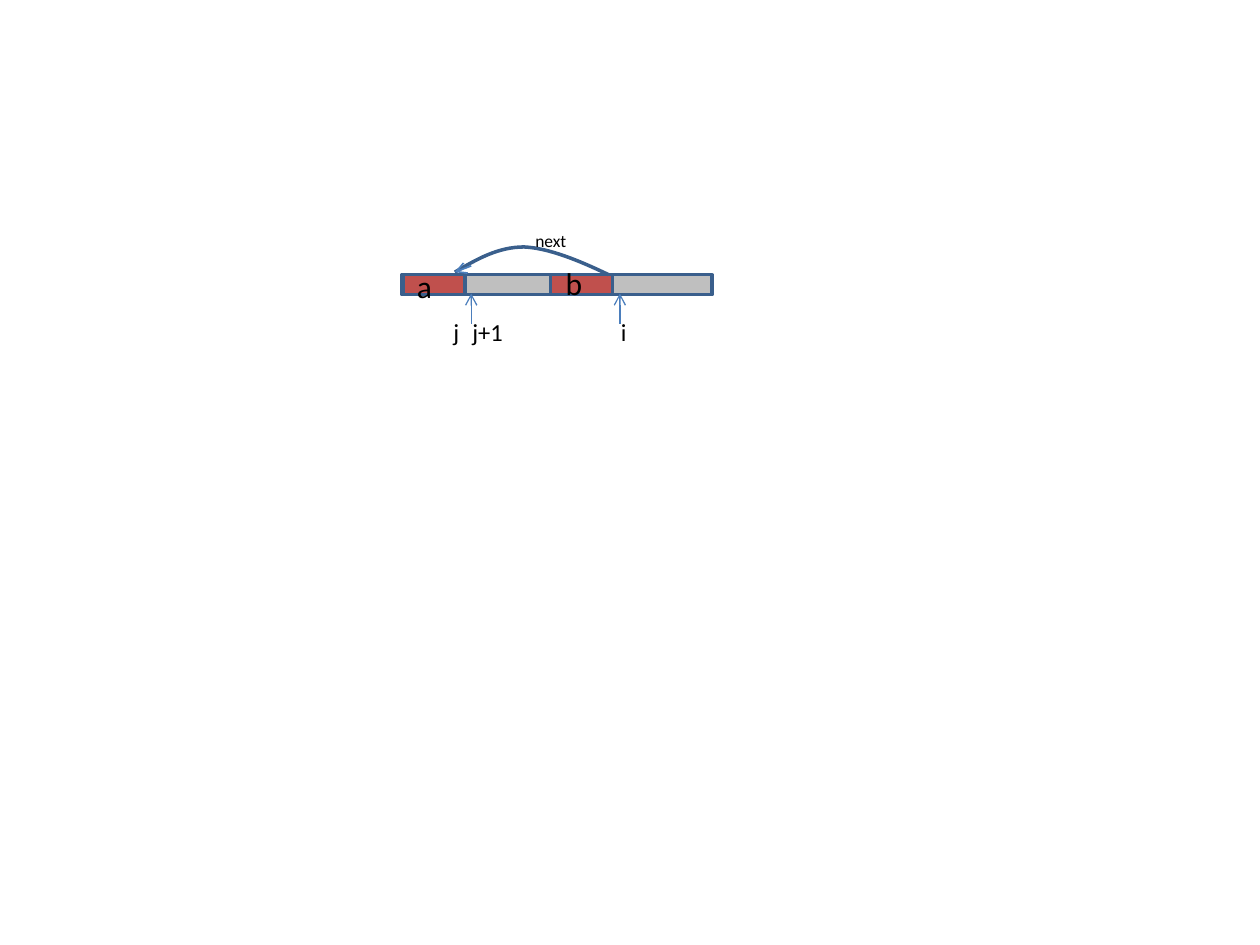
"""Build a slide showing the next link between two matching array cells."""
from lxml.etree import SubElement
from pptx import Presentation
from pptx.dml.color import RGBColor
from pptx.enum.shapes import MSO_CONNECTOR, MSO_SHAPE
from pptx.enum.text import MSO_AUTO_SIZE
from pptx.oxml.ns import qn
from pptx.util import Inches, Pt

theme = {
    "font": "Calibri", "text": "000000", "bar": "BFBFBF", "cell": "C0504D",
    "edge": "3A5F8C", "arrow": "4B7EBC",
    "big": 18, "mid": 14, "small": 10,
}


def color(key):
    return RGBColor.from_string(theme[key])


def stroke(item, key, width):
    item.line.color.rgb = color(key)
    item.line.width = Pt(width)


deck = Presentation()
deck.slide_width, deck.slide_height = Inches(10), Inches(7.5)
slide = deck.slides.add_slide(deck.slide_layouts[6])
shapes = slide.shapes

for left, width, fill in [(3.19, 2.46, "bar"), (3.2, 0.49, "cell"), (4.37, 0.49, "cell")]:
    box = shapes.add_shape(MSO_SHAPE.RECTANGLE, Inches(left), Inches(2.18),
                           Inches(width), Inches(0.16))
    box.shadow.inherit = False
    box.fill.solid()
    box.fill.fore_color.rgb = color(fill)
    stroke(box, "edge", 2)

start, *points = [(Inches(x), Inches(y)) for x, y in [
    (4.83, 2.18), (4.6, 2.07), (4.36, 1.97), (4.16, 1.96),
    (3.95, 1.96), (3.78, 2.06), (3.61, 2.16)]]
pen = shapes.build_freeform(*start)
pen.add_line_segments(points, close=False)
curve = pen.convert_to_shape()
curve.shadow.inherit = False
curve.fill.background()
stroke(curve, "edge", 2)
route = curve._element.find(".//" + qn("a:path"))
steps = route.findall(qn("a:lnTo"))
for first in range(0, len(steps), 3):
    bend = SubElement(route, qn("a:cubicBezTo"))
    for step in steps[first:first + 3]:
        bend.append(step[0])
        route.remove(step)

for x1, y1, x2, y2, width in [
        (3.74, 2.57, 3.74, 2.33, 0.75),
        (4.92, 2.57, 4.92, 2.33, 0.75),
        (3.74, 2.11, 3.61, 2.16, 1)]:
    arrow = shapes.add_connector(MSO_CONNECTOR.STRAIGHT, Inches(x1), Inches(y1),
                                 Inches(x2), Inches(y2))
    stroke(arrow, "arrow", width)
    SubElement(arrow.line._get_or_add_ln(), qn("a:tailEnd"), type="arrow")
    SubElement(arrow._element.spPr, qn("a:effectLst"))

for text, left, top, width, height, size in [
        ("a", 3.21, 2.07, 0.32, 0.4, "big"),
        ("b", 4.39, 2.05, 0.34, 0.4, "big"),
        ("next", 4.15, 1.78, 0.45, 0.27, "small"),
        ("i", 4.83, 2.47, 0.25, 0.34, "mid"),
        ("j", 3.5, 2.47, 0.25, 0.34, "mid"),
        ("j+1", 3.65, 2.47, 0.45, 0.34, "mid")]:
    label = shapes.add_textbox(Inches(left), Inches(top), Inches(width), Inches(height))
    frame = label.text_frame
    frame.word_wrap = False
    frame.auto_size = MSO_AUTO_SIZE.SHAPE_TO_FIT_TEXT
    run = frame.paragraphs[0].add_run()
    run.text = text
    for name, value in {"name": theme["font"], "size": Pt(theme[size])}.items():
        setattr(run.font, name, value)
    run.font.color.rgb = color("text")

deck.save("out.pptx")
